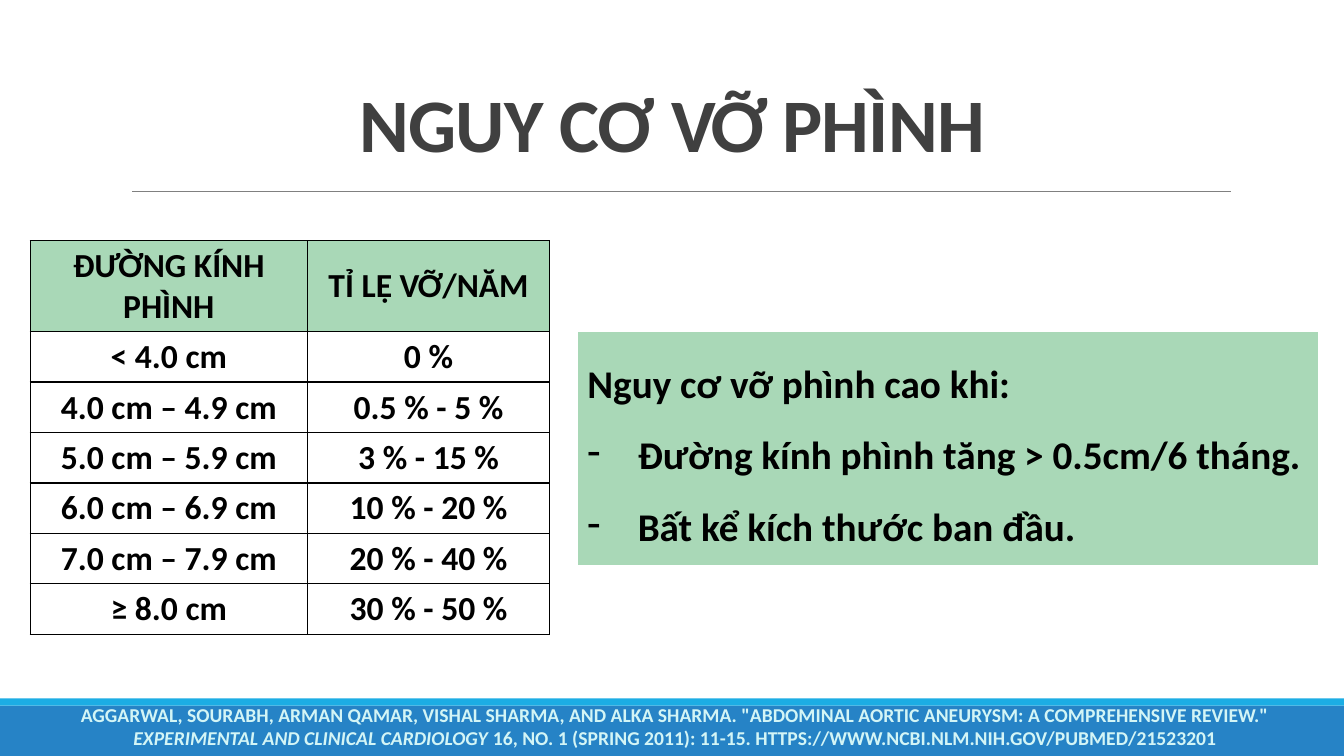
"""Build the slide on rupture risk of an aneurysm."""
import dataclasses

import lxml.etree
import pptx
import pptx.dml.color
import pptx.enum.shapes
import pptx.enum.text
import pptx.oxml.ns
import pptx.util

Cm = pptx.util.Cm
Pt = pptx.util.Pt
qn = pptx.oxml.ns.qn
CENTER = pptx.enum.text.PP_ALIGN.CENTER
LEFT = pptx.enum.text.PP_ALIGN.LEFT
ANCHOR = pptx.enum.text.MSO_ANCHOR


@dataclasses.dataclass
class Theme:
    font: str = "Calibri"
    title: str = "404040"
    ink: str = "000000"
    paper: str = "FFFFFF"
    rule: str = "808080"
    green: str = "A9D8B7"
    band: str = "2683C6"
    stripe: str = "1CADE4"
    citation: str = "D3F5F6"
    title_size: int = 54
    note_size: int = 28
    table_size: int = 24
    citation_size: int = 14


def rgb(color):
    return pptx.dml.color.RGBColor.from_string(color)


class SlideBuilder:
    def __init__(self, page, theme):
        self.page = page
        self.theme = theme

    def bar(self, left, top, width, height, color):
        shape = self.page.shapes.add_shape(
            pptx.enum.shapes.MSO_SHAPE.RECTANGLE, Cm(left), Cm(top), Cm(width), Cm(height))
        shape.shadow.inherit = False
        shape.fill.solid()
        shape.fill.fore_color.rgb = rgb(color)
        shape.line.fill.background()

    def rule(self, left, right, top):
        line = self.page.shapes.add_connector(
            pptx.enum.shapes.MSO_CONNECTOR.STRAIGHT, Cm(left), Cm(top), Cm(right), Cm(top))
        line.line.color.rgb = rgb(self.theme.rule)
        line.line.width = Pt(0.5)
        properties = line._element.spPr
        lxml.etree.SubElement(properties, qn("a:effectLst"))

    def span(self, para, text, size, color, italic=False, tracking=None):
        span = para.add_run()
        span.text = text
        span.font.name = self.theme.font
        span.font.size = Pt(size)
        span.font.color.rgb = rgb(color)
        span.font.bold = True
        span.font.italic = italic
        if tracking is not None:
            span.font._element.set("spc", str(round(tracking * 100)))

    def text(self, left, top, width, height, anchor):
        box = self.page.shapes.add_textbox(Cm(left), Cm(top), Cm(width), Cm(height))
        box.text_frame.word_wrap = True
        box.text_frame.vertical_anchor = anchor
        para = box.text_frame.paragraphs[0]
        para.alignment = CENTER
        return para

    def table(self, left, top, columns, rows):
        frame = self.page.shapes.add_table(
            len(rows), len(columns), Cm(left), Cm(top), Cm(sum(columns)), Cm(sum(rows)))
        table = frame.table
        table.first_row = table.horz_banding = False
        for column, width in zip(table.columns, columns):
            column.width = Cm(width)
        for row, height in zip(table.rows, rows):
            row.height = Cm(height)
        return table

    def style_cell(self, cell, fill, border, bottom=1):
        properties = cell._tc.get_or_add_tcPr()
        for side, points in (("L", 1), ("R", 1), ("T", 1), ("B", bottom)):
            line = lxml.etree.SubElement(properties, qn(f"a:ln{side}"), w=str(Pt(points)))
            solid = lxml.etree.SubElement(line, qn("a:solidFill"))
            lxml.etree.SubElement(solid, qn("a:srgbClr"), val=border)
        if fill:
            cell.fill.solid()
            cell.fill.fore_color.rgb = rgb(fill)
        else:
            cell.fill.background()

    def risk_table(self, left, top, columns, heights, records):
        table = self.table(left, top, columns, heights)
        for row, record in enumerate(records):
            for column, text in enumerate(record):
                cell = table.cell(row, column)
                self.style_cell(cell, None if row else self.theme.green, self.theme.ink)
                cell.vertical_anchor = ANCHOR.MIDDLE
                para = cell.text_frame.paragraphs[0]
                para.alignment = CENTER
                self.span(para, text, self.theme.table_size, self.theme.ink)

    def note(self, left, top, width, height, heading, points):
        cell = self.table(left, top, [width], [height]).cell(0, 0)
        self.style_cell(cell, self.theme.green, self.theme.paper, bottom=3)
        for index, text in enumerate([heading, *points]):
            para = cell.text_frame.add_paragraph() if index else cell.text_frame.paragraphs[0]
            if index:
                properties = para._p.get_or_add_pPr()
                properties.set("marL", str(Cm(1.27)))
                properties.set("indent", str(Cm(-1.27)))
                lxml.etree.SubElement(properties, qn("a:buChar"), char="-")
            para.alignment = LEFT
            para.line_spacing = 1.5
            self.span(para, text, self.theme.note_size, self.theme.ink)


def main():
    deck = pptx.Presentation()
    deck.slide_width, deck.slide_height = Cm(33.87), Cm(19.05)
    theme = Theme()
    builder = SlideBuilder(deck.slides.add_slide(deck.slide_layouts[6]), theme)

    builder.bar(0, 17.78, 33.87, 1.27, theme.band)
    builder.bar(0, 17.6, 33.87, 0.18, theme.stripe)
    builder.rule(3.33, 31.01, 4.83)

    title = builder.text(0, 0, 33.87, 4.37, ANCHOR.BOTTOM)
    title.line_spacing = 0.85
    builder.span(title, "NGUY CƠ VỠ PHÌNH", theme.title_size, theme.title, tracking=-0.5)

    records = [
        ("ĐƯỜNG KÍNH PHÌNH", "TỈ LỆ VỠ/NĂM"),
        ("< 4.0 cm", "0 %"),
        ("4.0 cm – 4.9 cm", "0.5 % - 5 %"),
        ("5.0 cm – 5.9 cm", "3 % - 15 %"),
        ("6.0 cm – 6.9 cm", "10 % - 20 %"),
        ("7.0 cm – 7.9 cm", "20 % - 40 %"),
        ("≥ 8.0 cm", "30 % - 50 %"),
    ]
    heights = [2.18] + [1.27] * (len(records) - 1)
    builder.risk_table(0.76, 6.07, [6.99, 6.1], heights, records)
    builder.note(14.55, 8.36, 18.67, 5.92, "Nguy cơ vỡ phình cao khi:", [
        "Đường kính phình tăng > 0.5cm/6 tháng.",
        "Bất kể kích thước ban đầu.",
    ])

    citation = builder.text(0.18, 17.75, 33.68, 1.09, ANCHOR.MIDDLE)
    for text, italic in (
        ("AGGARWAL, SOURABH, ARMAN QAMAR, VISHAL SHARMA, AND ALKA SHARMA. "
         "\"ABDOMINAL AORTIC ANEURYSM: A COMPREHENSIVE REVIEW.\" ", False),
        ("EXPERIMENTAL AND CLINICAL CARDIOLOGY", True),
        (" 16, NO. 1 (SPRING 2011): 11-15. "
         "HTTPS://WWW.NCBI.NLM.NIH.GOV/PUBMED/21523201", False),
    ):
        builder.span(citation, text, theme.citation_size, theme.citation, italic)

    deck.save("out.pptx")


if __name__ == "__main__":
    main()
